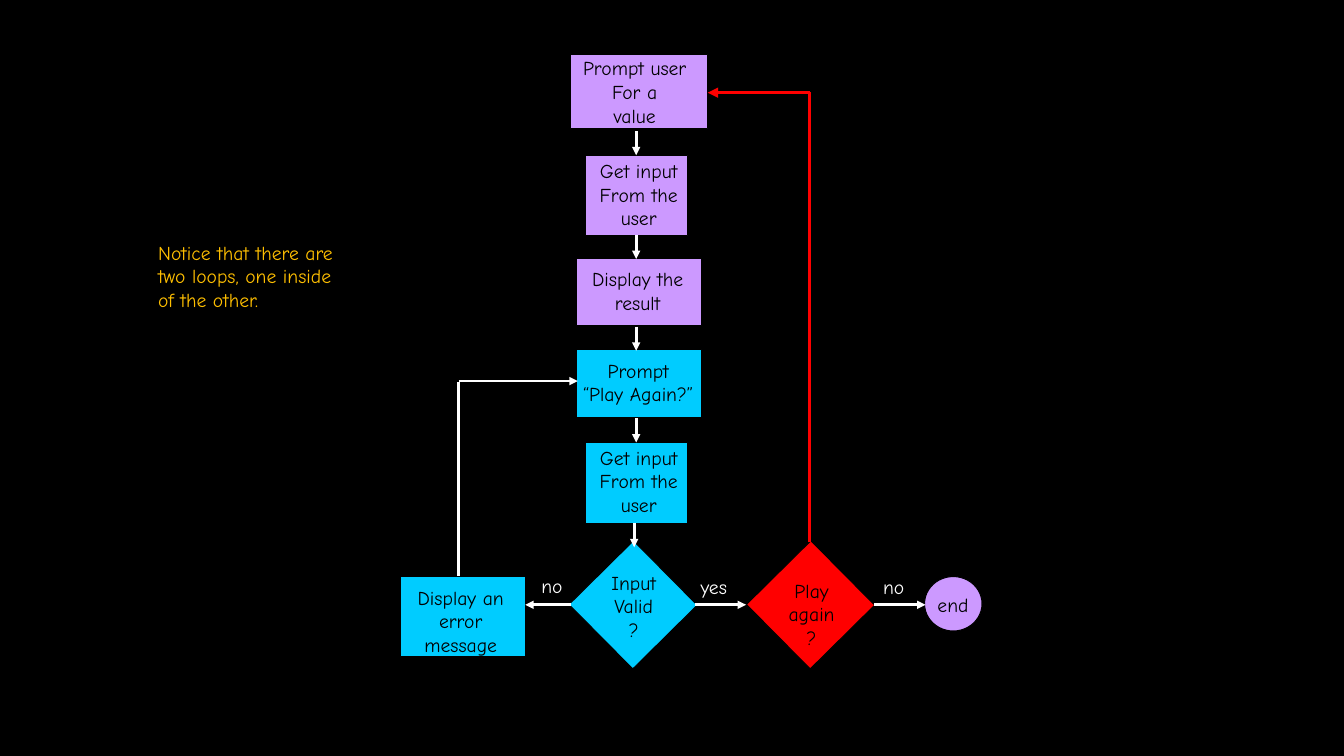
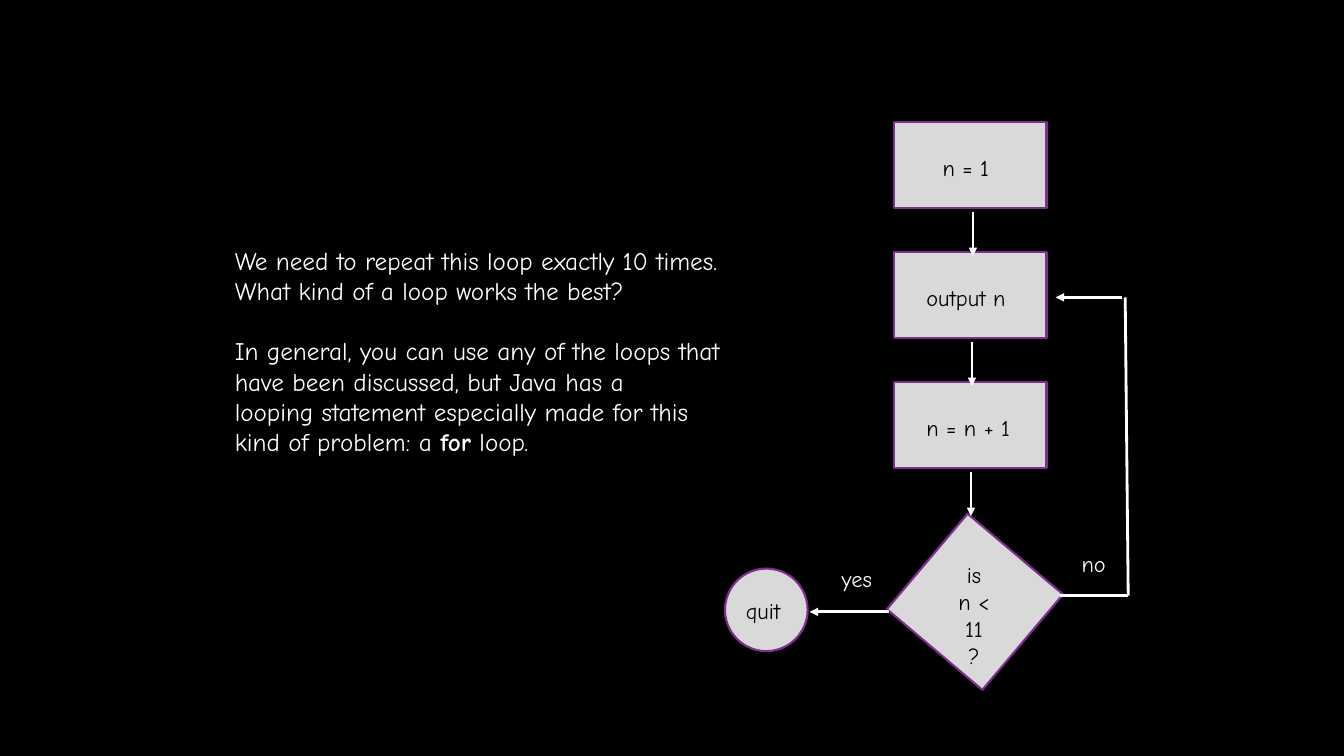
import pptx
import pptx.dml.color
import pptx.enum.dml
import pptx.enum.shapes
import pptx.enum.text
import pptx.util
from pptx.oxml import parse_xml
from pptx.oxml.ns import nsdecls
from pptx.util import Inches, Pt

FONT = "Comic Neue"
BLACK, WHITE, GOLD = "000000", "FFFFFF", "FFC000"
LILAC, CYAN, RED = "CC99FF", "00CCFF", "FF0000"
GREY, PURPLE = "D9D9D9", "7F2E8F"
RECT = pptx.enum.shapes.MSO_SHAPE.RECTANGLE
OVAL = pptx.enum.shapes.MSO_SHAPE.OVAL
CENTER = pptx.enum.text.PP_ALIGN.CENTER
LEFT = pptx.enum.text.PP_ALIGN.LEFT

# Places are (left, top, width, height) in inches.
GET_INPUT = ["Get input", "From the", "user"]
GAME_STEPS = [
    # fill, shape place, label lines, label place
    (LILAC, (5.66, 0.54, 1.36, 0.74), ["Prompt user", "For a", "value"], (5.64, 0.51, 1.31, 0.81)),
    (LILAC, (5.81, 1.54, 1.01, 0.8), GET_INPUT, (5.81, 1.53, 1.05, 0.81)),
    (LILAC, (5.72, 2.56, 1.24, 0.67), ["Display the", "result"], (5.71, 2.6, 1.23, 0.57)),
    (CYAN, (5.72, 3.47, 1.24, 0.67), ["Prompt", "“Play Again?”"], (5.64, 3.51, 1.38, 0.57)),
    (CYAN, (5.81, 4.39, 1.01, 0.8), GET_INPUT, (5.81, 4.37, 1.05, 0.81)),
    (CYAN, (3.97, 5.72, 1.24, 0.79), ["Display an", "error", "message"], (4.01, 5.76, 1.12, 0.81)),
]
GAME_DECISIONS = [
    (CYAN, (5.83, 5.55, 0.9, 0.9), ["Input", "Valid", "?"], (5.93, 5.61, 0.71, 0.81)),
    (RED, (7.59, 5.55, 0.9, 0.9), ["Play", "again", "?"], (7.72, 5.69, 0.66, 0.81)),
]
GAME_ANSWERS = [
    ("no", (5.27, 5.64, 0.41, 0.33)),
    ("yes", (6.85, 5.65, 0.5, 0.33)),
    ("no", (8.66, 5.65, 0.41, 0.33)),
]
GAME_ARROWS = [
    # start, end
    *[((6.31, top), (6.31, top + 0.24)) for top in (1.3, 2.33, 3.24, 4.15)],
    ((6.29, 5.19), (6.29, 5.43)),
    ((5.66, 6), (5.21, 6)),
    ((6.89, 6), (7.4, 6)),
    ((8.67, 6), (9.18, 6)),
]
ERROR_LOOP = [((4.55, 5.71), (4.55, 3.79)), ((4.55, 3.78), (5.73, 3.78))]
REPLAY_LOOP = [((8.03, 5.38), (8.03, 0.91)), ((8.03, 0.92), (7.02, 0.92))]
GAME_NOTE = ["Notice that there are", "two loops, one inside", "of the other."]

COUNT_STEPS = [("n = 1", 9.25, 0.7), ("output n", 9.09, 1.07), ("n = n + 1", 9.09, 1.07)]
COUNT_TOP, COUNT_PITCH = 1.21, 1.29
COUNT_LOOP = [
    ((10.51, 5.91), (11.19, 5.91)),
    ((11.19, 5.91), (11.16, 2.95)),
    ((11.13, 2.95), (10.47, 2.95)),
]
QUESTION = ["We need to repeat this loop exactly 10 times. What kind of a loop works the best?"]
ADVICE = [
    "In general, you can use any of the loops that have been discussed, but Java has a",
    "looping statement especially made for this",
    [("kind of problem: a ", False), ("for", True), (" loop.", False)],
]


def rgb(color):
    return pptx.dml.color.RGBColor.from_string(color)


def add_node(page, kind, place, fill, outline=(BLACK, 0.75), rotation=0):
    node = page.shapes.add_shape(kind, *map(Inches, place))
    node.shadow.inherit = False
    node.rotation = rotation
    node.fill.solid()
    node.fill.fore_color.rgb = rgb(fill)
    color, width = outline
    node.line.color.rgb = rgb(color)
    node.line.width = Pt(width)


def add_text(page, paragraphs, place, size=14, color=BLACK, align=LEFT, gap_before=None):
    """Add a text box; gap_before maps a paragraph index to points above it."""
    box = page.shapes.add_textbox(*map(Inches, place))
    frame = box.text_frame
    frame.word_wrap = True
    for index, content in enumerate(paragraphs):
        para = frame.add_paragraph() if index else frame.paragraphs[0]
        para.alignment = align
        if gap_before and index in gap_before:
            para.space_before = Pt(gap_before[index])
        for text, bold in [(content, False)] if isinstance(content, str) else content:
            span = para.add_run()
            span.text = text
            span.font.name = FONT
            span.font.size = Pt(size)
            span.font.bold = bold
            span.font.color.rgb = rgb(color)


def add_line(page, start, end, width=2, color=WHITE, arrow=True):
    line = page.shapes.add_connector(
        pptx.enum.shapes.MSO_CONNECTOR.STRAIGHT, *map(Inches, start + end))
    line.line.color.rgb = rgb(color)
    line.line.width = Pt(width)
    if arrow:
        line.line._get_or_add_ln().append(
            parse_xml(f'<a:tailEnd {nsdecls("a")} type="triangle"/>'))
    line._element.spPr.append(parse_xml(f'<a:effectLst {nsdecls("a")}/>'))


def add_route(page, segments, **style):
    """Draw joined lines with an arrowhead on the last one."""
    for segment in segments:
        add_line(page, *segment, arrow=segment is segments[-1], **style)


def build_game_page(page):
    for fill, place, lines, label_place in GAME_STEPS:
        add_node(page, RECT, place, fill)
        add_text(page, lines, label_place, align=CENTER)
    for fill, place, lines, label_place in GAME_DECISIONS:
        add_node(page, RECT, place, fill, rotation=315.3)
        add_text(page, lines, label_place, align=CENTER)
    add_node(page, OVAL, (9.17, 5.72, 0.57, 0.54), LILAC)
    add_text(page, ["end"], (9.2, 5.83, 0.56, 0.33))
    for start, end in GAME_ARROWS:
        add_line(page, start, end)
    add_route(page, ERROR_LOOP)
    add_route(page, REPLAY_LOOP, width=2.5, color=RED)
    for answer, place in GAME_ANSWERS:
        add_text(page, [answer], place, color=WHITE)
    add_text(page, GAME_NOTE, (1.47, 2.34, 6.67, 0.81), color=GOLD)


def build_count_page(page):
    outline = (PURPLE, 1.5)
    add_text(page, QUESTION + ADVICE, (2.23, 2.38, 5.35, 2.22), 18, WHITE,
             gap_before={len(QUESTION): 21.6})
    for index, (text, left, width) in enumerate(COUNT_STEPS):
        top = COUNT_TOP + index * COUNT_PITCH
        add_node(page, RECT, (8.87, top, 1.51, 0.85), GREY, outline)
        add_text(page, [text], (left, top + 0.27, width, 0.37), 16)
    add_node(page, RECT, (9.05, 5.35, 1.24, 1.24), GREY, outline, rotation=310.2)
    add_text(page, ["is", "n < 11", "?"], (9.29, 5.52, 0.74, 0.91), 16, align=CENTER)
    for index in range(len(COUNT_STEPS)):
        x = 9.65 - 0.01 * index
        top = COUNT_TOP + 0.89 + index * COUNT_PITCH
        add_line(page, (x, top), (x, top + 0.44), width=1.75)
    add_route(page, COUNT_LOOP)
    add_text(page, ["no"], (10.63, 5.41, 0.5, 0.37), 16, WHITE)
    add_line(page, (8.82, 6.07), (8.03, 6.07))
    add_text(page, ["yes"], (8.25, 5.56, 0.55, 0.37), 16, WHITE)
    add_node(page, OVAL, (7.19, 5.64, 0.82, 0.82), GREY, outline)
    add_text(page, ["quit"], (7.3, 5.88, 0.61, 0.37), 16)


def main():
    deck = pptx.Presentation()
    deck.slide_width, deck.slide_height = Inches(13.33), Inches(7.5)
    backdrop = deck.slide_master.background.fill
    backdrop.solid()
    backdrop.fore_color.rgb = rgb(BLACK)
    blank = deck.slide_layouts.get_by_name("Blank")
    for build in (build_game_page, build_count_page):
        build(deck.slides.add_slide(blank))
    deck.save("out.pptx")


if __name__ == "__main__":
    main()
